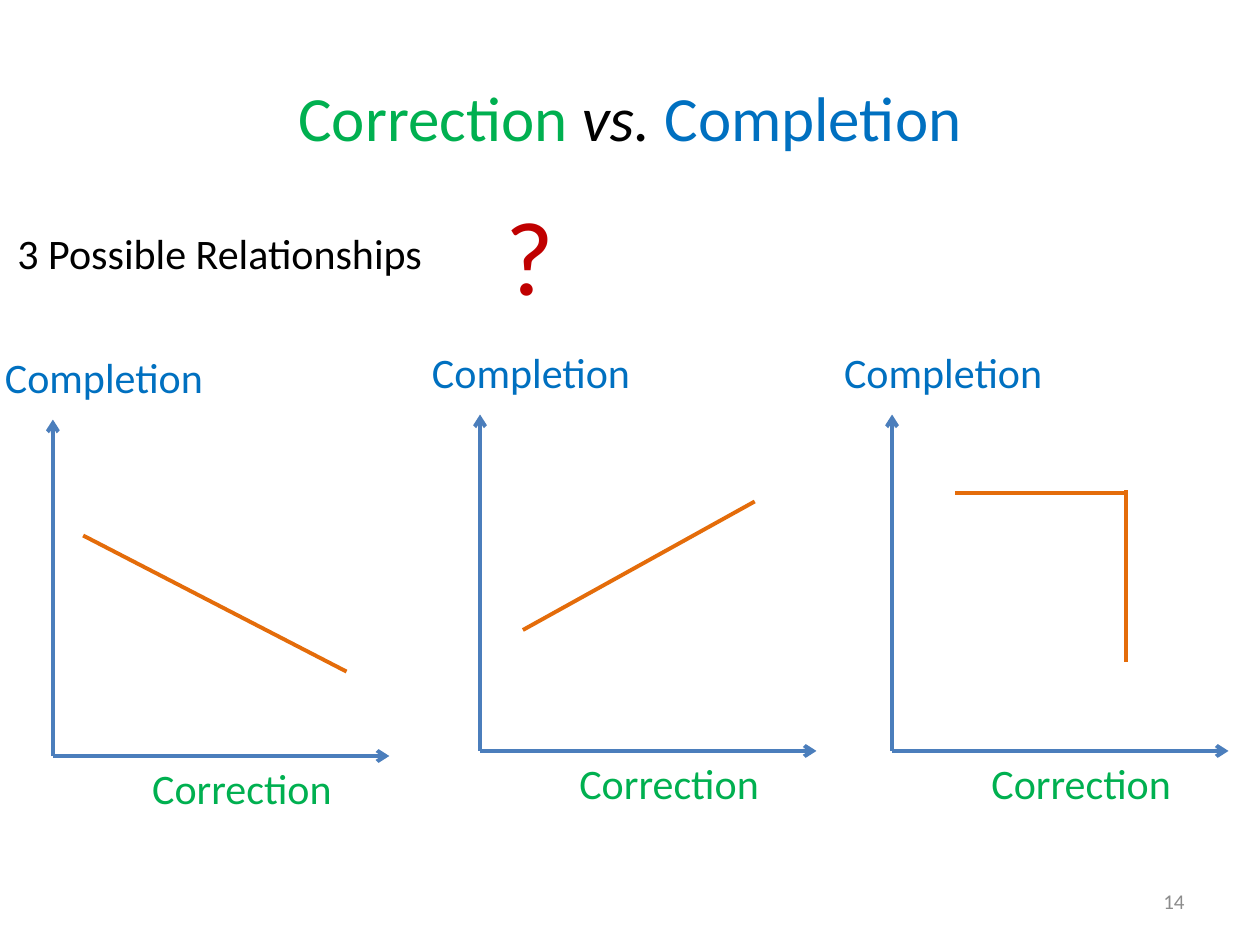
from lxml import etree
from pptx import Presentation
from pptx import util as u
from pptx.dml.color import RGBColor
from pptx.enum import shapes, text
from pptx.oxml.ns import qn

GREEN, BLUE, ORANGE, AXIS = "00B050", "0070C0", "E46C0A", "4B7EBC"
BLACK, RED, GREY = "000000", "C00000", "8C8C8C"
AXIS_LENGTH = 2.67

# Origin of each plot, and its trend as offsets right of and above the origin
PLOTS = [
    ((0.42, 6.0), [((0.24, 1.75), (2.33, 0.67))]),
    ((3.81, 5.96), [((2.18, 1.98), (0.34, 0.96))]),
    ((7.08, 5.96), [((1.86, 2.05), (0.5, 2.05)), ((1.86, 0.71), (1.86, 2.07))]),
]


def color(value):
    return RGBColor.from_string(value)


def add_run(paragraph, words, size, fill, italic=False):
    run = paragraph.add_run()
    run.text = words
    run.font.name = "Calibri"
    run.font.size = u.Pt(size)
    run.font.italic = italic
    run.font.color.rgb = color(fill)


def add_label(slide, box, words, size, fill, wrap=False):
    label = slide.shapes.add_textbox(*(u.Inches(length) for length in box))
    label.text_frame.word_wrap = wrap
    paragraph = label.text_frame.paragraphs[0]
    add_run(paragraph, words, size, fill)
    return label.text_frame


def add_line(slide, start, end, stroke, arrow=False):
    line = slide.shapes.add_connector(
        shapes.MSO_CONNECTOR.STRAIGHT,
        *(u.Inches(length) for length in (*start, *end)))
    line.line.color.rgb = color(stroke)
    line.line.width = u.Pt(2.25)
    properties = line._element.spPr
    if arrow:
        etree.SubElement(properties.find(qn("a:ln")), qn("a:tailEnd"), type="arrow")
    etree.SubElement(properties, qn("a:effectLst"))


def add_plot(slide, origin, trend):
    x, y = origin
    # Axes with their names
    add_line(slide, origin, (x + AXIS_LENGTH, y), AXIS, arrow=True)
    add_line(slide, origin, (x, y - AXIS_LENGTH), AXIS, arrow=True)
    add_label(slide, (x - 0.48, y - 3.26, 1.79, 0.5), "Completion", 24, BLUE)
    add_label(slide, (x + 0.69, y, 1.64, 0.5), "Correction", 24, GREEN)
    # Trend
    for start, end in trend:
        add_line(slide, *((x + right, y - up) for right, up in (start, end)), ORANGE)


def add_title(slide):
    title = slide.shapes.title
    title.left, title.top, title.width, title.height = (
        u.Inches(length) for length in (0.5, 0.3, 9, 1.25))
    title.text_frame.vertical_anchor = text.MSO_ANCHOR.MIDDLE
    paragraph = title.text_frame.paragraphs[0]
    paragraph.alignment = text.PP_ALIGN.CENTER
    add_run(paragraph, "Correction ", 36, GREEN)
    add_run(paragraph, "vs. ", 36, BLACK, italic=True)
    add_run(paragraph, "Completion", 36, BLUE)


def add_page_number(slide):
    frame = add_label(slide, (7.17, 6.95, 2.33, 0.4), "14", 12, GREY, wrap=True)
    frame.vertical_anchor = text.MSO_ANCHOR.MIDDLE
    frame.paragraphs[0].alignment = text.PP_ALIGN.RIGHT


def main():
    deck = Presentation()
    deck.slide_width, deck.slide_height = u.Inches(10), u.Inches(7.5)
    slide = deck.slides.add_slide(deck.slide_layouts.get_by_name("Title Only"))

    # Heading and page number
    add_page_number(slide)
    add_title(slide)

    # The three possible relationships
    for origin, trend in PLOTS:
        add_plot(slide, origin, trend)

    # Question
    add_label(slide, (0.04, 1.76, 3.52, 0.5), "3 Possible Relationships", 24, BLACK)
    add_label(slide, (3.91, 1.46, 0.59, 1.11), "?", 60, RED)

    deck.save("out.pptx")


if __name__ == "__main__":
    main()
